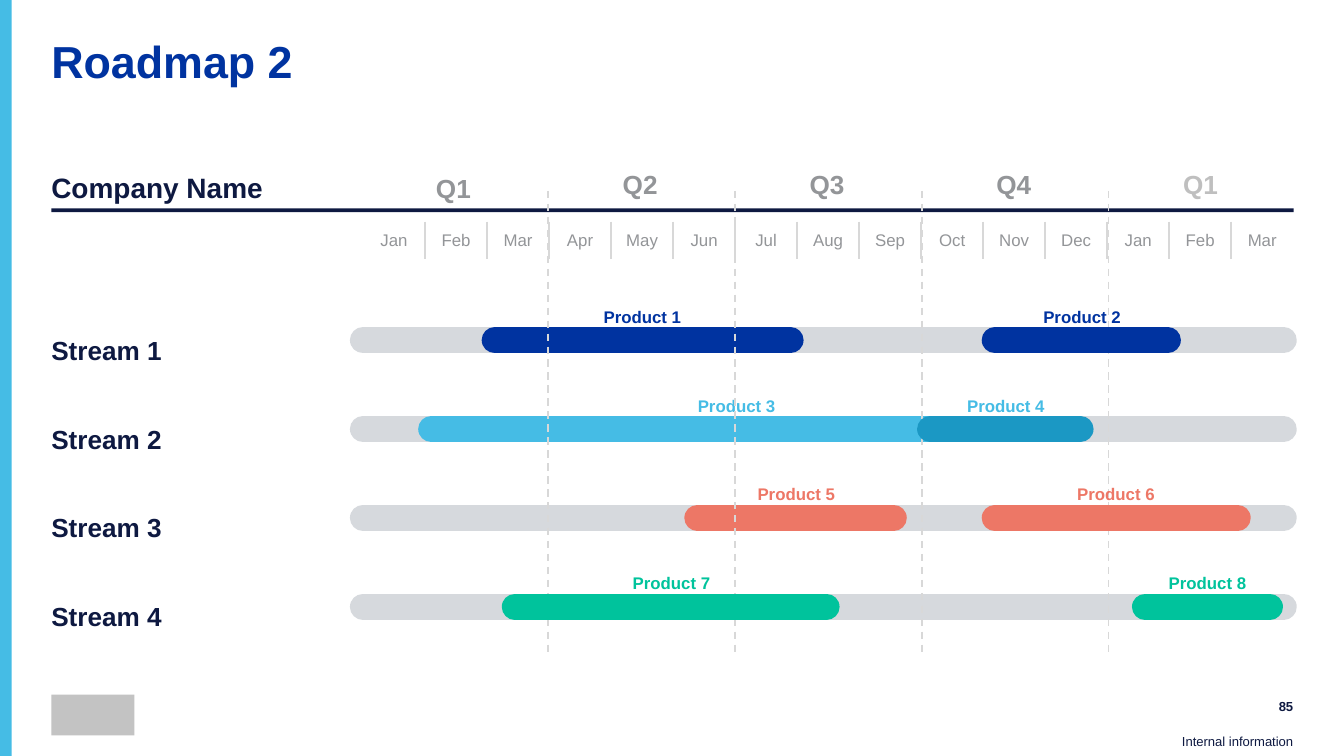
"""Build a product roadmap slide with four streams across five quarters."""
from lxml.etree import SubElement
from pptx import Presentation
from pptx.dml.color import RGBColor
from pptx.enum.dml import MSO_LINE
from pptx.enum.shapes import MSO_CONNECTOR, MSO_SHAPE
from pptx.enum.text import MSO_ANCHOR, PP_ALIGN
from pptx.oxml.ns import qn
from pptx.util import Cm, Pt

COLORS = {
    "navy": "0E1941", "blue": "0033A0", "sky": "45BCE5", "ocean": "1B98C4",
    "coral": "ED7766", "green": "00C39C", "track": "D6D9DD", "rule": "D8D8D8",
    "gray": "939598", "pale": "BFBFBF", "mark": "C3C3C3",
}
PLAIN_TABLE = "{2D5ABB26-0587-4C30-8999-92F81FD0307C}"
QUARTERS = ["Q1", "Q2", "Q3", "Q4", "Q1"]
MONTHS = "Jan Feb Mar Apr May Jun Jul Aug Sep Oct Nov Dec Jan Feb Mar".split()
QUARTER_STEP = 3.53
ROW_STEP = 1.68
BAR_TOP = 6.43
STREAMS = 4
# Name, stream row, bar start, bar end, bar colour, label centre, label colour
BACK_PRODUCTS = [
    ("Product 1", 0, 9.35, 14.94, "blue", 12.14, "blue"),
    ("Product 3", 1, 8.15, 19.66, "sky", 13.92, "sky"),
    ("Product 5", 2, 13.18, 16.89, "coral", 15.05, "coral"),
    ("Product 8", 3, 21.64, 24.0, "green", 22.82, "green"),
]
FRONT_PRODUCTS = [
    ("Product 2", 0, 18.8, 22.07, "blue", 20.45, "blue"),
    ("Product 4", 1, 17.58, 20.42, "ocean", 19.01, "sky"),
    ("Product 6", 2, 18.8, 23.39, "coral", 21.09, "coral"),
    ("Product 7", 3, 9.73, 15.62, "green", 12.69, "green"),
]


def color(name):
    """Return the named colour."""
    return RGBColor.from_string(COLORS[name])


def write(frame, text, size, tint, bold=True, align=PP_ALIGN.LEFT, spacing=None):
    """Write one run into the first paragraph of a frame."""
    para = frame.paragraphs[0]
    para.alignment = align
    if spacing:
        para.line_spacing = spacing
    span = para.add_run()
    span.text = text
    span.font.name = "Arial"
    span.font.size = Pt(size)
    span.font.bold = bold
    span.font.color.rgb = color(tint)


def add_text(page, place, text, size, tint, anchor=MSO_ANCHOR.TOP, **style):
    """Add a text box without margins."""
    box = page.shapes.add_textbox(*map(Cm, place))
    frame = box.text_frame
    frame.word_wrap = True
    frame.vertical_anchor = anchor
    frame.margin_left = frame.margin_top = frame.margin_right = frame.margin_bottom = 0
    write(frame, text, size, tint, **style)


def add_block(page, place, tint):
    """Add a plain filled rectangle."""
    block = page.shapes.add_shape(MSO_SHAPE.RECTANGLE, *map(Cm, place))
    block.shadow.inherit = False
    block.fill.solid()
    block.fill.fore_color.rgb = color(tint)
    block.line.fill.background()


def add_line(page, start, end, tint, width):
    """Add a straight line without a shadow."""
    line = page.shapes.add_connector(MSO_CONNECTOR.STRAIGHT, *map(Cm, start + end))
    line.line.color.rgb = color(tint)
    line.line.width = Pt(width)
    SubElement(line._element.spPr, qn("a:effectLst"))
    return line


def add_bar(page, left, right, row, tint):
    """Add a thick line with round ends in a stream row."""
    top = BAR_TOP + row * ROW_STEP
    bar = add_line(page, (left, top), (right, top), tint, 14)
    bar.line._get_or_add_ln().set("cap", "rnd")


def add_products(page, products):
    """Add the bar and the label of each product."""
    for name, row, left, right, tint, center, label_tint in products:
        add_bar(page, left, right, row, tint)
        place = (center - 1.18, 5.79 + row * ROW_STEP, 2.36, 0.38)
        add_text(page, place, name, 9, label_tint, MSO_ANCHOR.MIDDLE, align=PP_ALIGN.CENTER)


def add_border(cell, side):
    """Draw a thin border on one side of a cell."""
    border = SubElement(cell._tc.get_or_add_tcPr(), qn(f"a:{side}"), w=str(Pt(1)))
    fill = SubElement(border, qn("a:solidFill"))
    SubElement(fill, qn("a:srgbClr"), val=COLORS["rule"])


def add_months(page):
    """Add the row of months with dividers inside each quarter."""
    width = 17.58
    frame = page.shapes.add_table(1, len(MONTHS), Cm(6.86), Cm(4.19), Cm(width), Cm(0.71))
    table = frame.table
    table.first_row = table.horz_banding = False
    table._tbl.tblPr.find(qn("a:tableStyleId")).text = PLAIN_TABLE
    for index, month in enumerate(MONTHS):
        table.columns[index].width = Cm(width / len(MONTHS))
        cell = table.cell(0, index)
        cell.margin_left = cell.margin_top = cell.margin_right = cell.margin_bottom = 0
        cell.vertical_anchor = MSO_ANCHOR.MIDDLE
        if index % 3 > 0:
            add_border(cell, "lnL")
        if index % 3 < 2:
            add_border(cell, "lnR")
        cell.fill.background()
        write(cell.text_frame, month, 9, "gray", bold=False, align=PP_ALIGN.CENTER)


def add_frame(page):
    """Add the side strip, title, footer and heading rule."""
    add_block(page, (0, 0, 0.22, 14.29), "sky")
    add_block(page, (0.97, 13.13, 1.57, 0.77), "mark")
    add_text(page, (0.97, 0.76, 23.5, 1.24), "Roadmap 2", 24, "blue", spacing=0.9)
    add_text(page, (22.94, 13.13, 1.5, 0.46), "85", 7, "navy", MSO_ANCHOR.MIDDLE,
             align=PP_ALIGN.RIGHT)
    add_text(page, (22.15, 13.75, 2.29, 0.41), "Internal information", 7, "navy",
             MSO_ANCHOR.BOTTOM, bold=False, align=PP_ALIGN.RIGHT)
    add_block(page, (0.97, 3.94, 23.48, 0.07), "navy")
    add_text(page, (0.97, 2.95, 4.6, 0.69), "Company Name", 15, "navy", spacing=1.42)


def add_quarters(page):
    """Add the quarter headings."""
    for index, quarter in enumerate(QUARTERS):
        top = 2.84 if index else 2.92
        tint = "pale" if index == len(QUARTERS) - 1 else "gray"
        add_text(page, (7.49 + index * QUARTER_STEP, top, 2.16, 0.69), quarter, 14, tint,
                 align=PP_ALIGN.CENTER, spacing=1.58)


def add_streams(page):
    """Add the stream names and their tracks."""
    for row in range(STREAMS):
        add_text(page, (0.97, 6.12 + row * ROW_STEP, 3.45, 0.58), f"Stream {row + 1}", 14,
                 "navy", spacing=1.33)
        add_bar(page, 6.86, 24.26, row, "track")


def add_dividers(page):
    """Add the dashed lines between the quarters."""
    for index in range(len(QUARTERS) - 1):
        left = 10.36 + index * QUARTER_STEP
        divider = add_line(page, (left, 3.61), (left, 12.32), "rule", 1)
        divider.line.dash_style = MSO_LINE.DASH


def main():
    """Build and save the deck."""
    deck = Presentation()
    deck.slide_width, deck.slide_height = Cm(25.4), Cm(14.29)
    page = deck.slides.add_slide(deck.slide_layouts[6])
    add_frame(page)
    add_quarters(page)
    add_streams(page)
    add_products(page, BACK_PRODUCTS)
    add_dividers(page)
    add_months(page)
    add_products(page, FRONT_PRODUCTS)
    deck.save("out.pptx")


if __name__ == "__main__":
    main()
